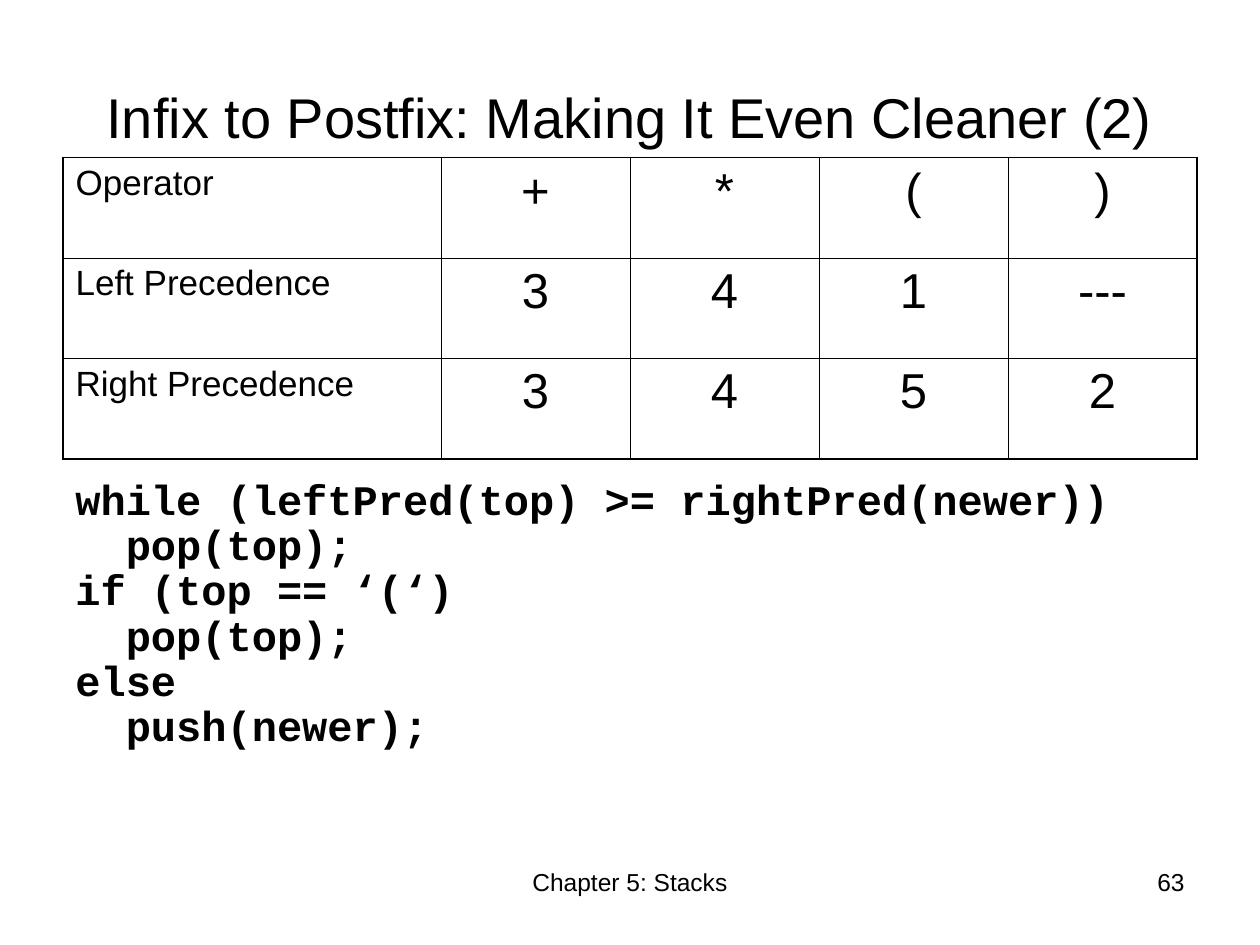
from lxml.etree import SubElement
from pptx import Presentation
from pptx.dml.color import RGBColor
from pptx.enum.text import MSO_ANCHOR, PP_ALIGN
from pptx.oxml.ns import qn
from pptx.util import Pt

BLACK = RGBColor(0, 0, 0)
OUTER, INNER = Pt(1.08), Pt(0.45)


def write(frame, text, size, align, font="Arial", bold=False):
    frame.text = text
    frame.word_wrap = True
    for paragraph in frame.paragraphs:
        paragraph.alignment = align
        for run in paragraph.runs:
            run.font.name = font
            run.font.size = Pt(size)
            run.font.bold = bold
            run.font.color.rgb = BLACK


def set_borders(cell, widths):
    properties = cell._tc.get_or_add_tcPr()
    for position, (side, width) in enumerate(widths.items()):
        line = SubElement(properties, qn(f"a:ln{side}"), w=str(int(width)))
        fill = SubElement(line, qn("a:solidFill"))
        SubElement(fill, qn("a:srgbClr"), val=str(BLACK))
        properties.insert(position, line)


presentation = Presentation()
presentation.slide_width, presentation.slide_height = Pt(720), Pt(540)
slide = presentation.slides.add_slide(presentation.slide_layouts[5])

title = slide.shapes.title
title.left, title.top, title.width, title.height = Pt(36), Pt(21.6), Pt(648), Pt(90)
write(title.text_frame, "Infix to Postfix: Making It Even Cleaner (2)", 32, PP_ALIGN.CENTER)
title.text_frame.vertical_anchor = MSO_ANCHOR.MIDDLE

precedences = [
    ["Operator", "+", "*", "(", ")"],
    ["Left Precedence", "3", "4", "1", "---"],
    ["Right Precedence", "3", "4", "5", "2"],
]
last_row, last_column = len(precedences) - 1, len(precedences[0]) - 1
table = slide.shapes.add_table(
    last_row + 1, last_column + 1, Pt(36), Pt(90), Pt(648), Pt(172.2)
).table
table.first_row = table.horz_banding = False
for column, width in zip(table.columns, [216] + [108] * last_column):
    column.width = Pt(width)
for r, values in enumerate(precedences):
    table.rows[r].height = Pt(57.4)
    for c, value in enumerate(values):
        cell = table.cell(r, c)
        cell.fill.background()
        if c == 0:
            write(cell.text_frame, value, 20, PP_ALIGN.JUSTIFY)
        else:
            write(cell.text_frame, value, 28, PP_ALIGN.CENTER)
        set_borders(cell, {
            "L": OUTER if c == 0 else INNER,
            "R": OUTER if c == last_column else INNER,
            "T": OUTER if r == 0 else INNER,
            "B": OUTER if r == last_row else INNER,
        })

code_lines = [
    "while (leftPred(top) >= rightPred(newer))",
    "  pop(top);",
    "if (top == ‘(‘)",
    "  pop(top);",
    "else",
    "  push(newer);",
]
code = slide.shapes.add_textbox(Pt(36), Pt(270), Pt(648), Pt(212.4)).text_frame
write(code, "\n".join(code_lines), 24, PP_ALIGN.JUSTIFY, "Courier New", True)
for paragraph in code.paragraphs:
    paragraph.line_spacing = 0.9

footers = [
    ("Chapter 5: Stacks", 246, 228, PP_ALIGN.CENTER),
    ("63", 516, 168, PP_ALIGN.RIGHT),
]
for text, left, width, align in footers:
    footer = slide.shapes.add_textbox(Pt(left), Pt(492), Pt(width), Pt(37.5))
    write(footer.text_frame, text, 14, align)

presentation.save("out.pptx")
